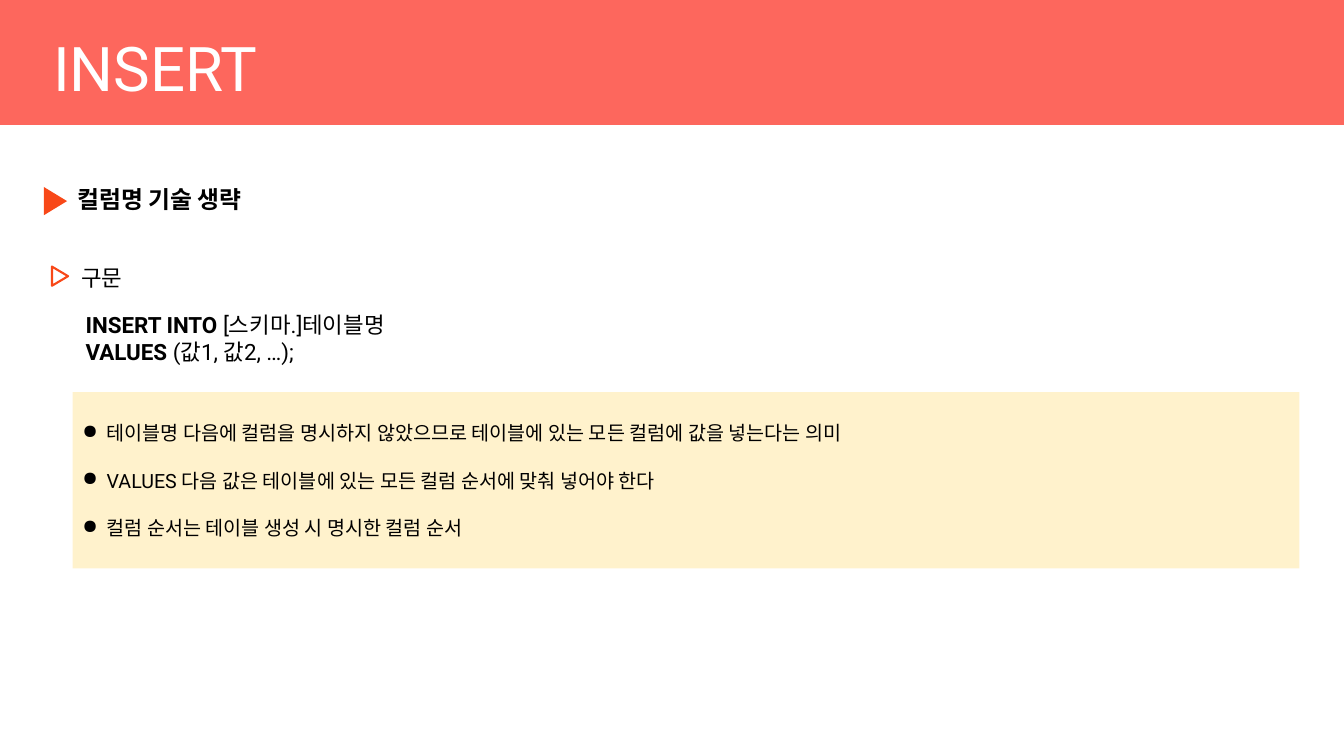
import dataclasses

import pptx
import pptx.dml.color
import pptx.enum.shapes
import pptx.enum.text
import pptx.util
from lxml import etree

Shape = pptx.enum.shapes.MSO_SHAPE
Anchor = pptx.enum.text.MSO_ANCHOR
Align = pptx.enum.text.PP_ALIGN


@dataclasses.dataclass(frozen=True)
class Theme:
    font: str = "Roboto"
    banner: str = "FD675D"
    accent: str = "F84818"
    note: str = "FFF2CC"
    ink: str = "000000"
    paper: str = "FFFFFF"
    title_size: int = 44
    heading_size: int = 17
    body_size: int = 16
    note_size: int = 14
    note_gap: int = 17
    outline: float = 1.5


def color(value):
    return pptx.dml.color.RGBColor.from_string(value)


class Deck:
    """Places elements on a grid whose columns and rows are 0.1 inch."""

    CELL = pptx.util.Inches(0.1)
    COLUMNS, ROWS = 133.33, 75

    def __init__(self, theme):
        self.theme = theme
        self.presentation = pptx.Presentation()
        self.presentation.slide_width = self.cells(self.COLUMNS)
        self.presentation.slide_height = self.cells(self.ROWS)
        self.slide = self.presentation.slides.add_slide(
            self.presentation.slide_layouts[6])

    def cells(self, count):
        return round(count * self.CELL)

    def frame(self, *columns_rows):
        return [self.cells(count) for count in columns_rows]

    def shape(self, kind, place, fill, line=None, rotation=0):
        shape = self.slide.shapes.add_shape(kind, *self.frame(*place))
        shape.shadow.inherit = False
        shape.rotation = rotation
        shape.fill.solid()
        shape.fill.fore_color.rgb = color(fill)
        if line:
            shape.line.color.rgb = color(line)
            shape.line.width = pptx.util.Pt(self.theme.outline)
        else:
            shape.line.fill.background()
        return shape

    def pointer(self, place, fill):
        self.shape(Shape.FLOWCHART_EXTRACT, place, fill,
                   line=None if fill == self.theme.accent else self.theme.accent,
                   rotation=90)

    def style(self, font, size, ink, bold=False):
        font.name = self.theme.font
        font.size = pptx.util.Pt(size)
        font.color.rgb = color(ink)
        font.bold = bold

    def text(self, place, lines, size, ink=None, anchor=Anchor.TOP):
        """Each line is a list of (wording, bold) pairs."""
        frame = self.slide.shapes.add_textbox(*self.frame(*place)).text_frame
        frame.word_wrap = True
        frame.vertical_anchor = anchor
        for index, line in enumerate(lines):
            paragraph = frame.paragraphs[0] if index == 0 else frame.add_paragraph()
            for wording, bold in line:
                run = paragraph.add_run()
                run.text = wording
                self.style(run.font, size, ink or self.theme.ink, bold)

    def bullet(self, paragraph, indent):
        properties = paragraph._p.get_or_add_pPr()
        properties.set("marL", str(self.cells(indent)))
        properties.set("indent", str(-self.cells(indent)))
        etree.SubElement(properties, pptx.oxml.ns.qn("a:buChar")).set("char", "●")

    def note(self, place, points):
        frame = self.shape(Shape.RECTANGLE, place, self.theme.note).text_frame
        frame.word_wrap = True
        frame.vertical_anchor = Anchor.MIDDLE
        frame.text = "\n".join(points)
        for index, paragraph in enumerate(frame.paragraphs):
            self.bullet(paragraph, indent=2.4)
            paragraph.alignment = Align.LEFT
            if index:
                paragraph.space_before = pptx.util.Pt(self.theme.note_gap)
            for run in paragraph.runs:
                self.style(run.font, self.theme.note_size, self.theme.ink)


def main():
    theme = Theme()
    deck = Deck(theme)

    # Title banner
    deck.shape(Shape.RECTANGLE, (0, 0, deck.COLUMNS, 12.4), theme.banner)
    deck.text((4.3, 3, 115, 7.8), [[("INSERT", False)]], theme.title_size,
              ink=theme.paper, anchor=Anchor.BOTTOM)

    # Section heading
    deck.pointer((4.1, 18.8, 2.8, 2.3), theme.accent)
    deck.text((6.7, 17.8, 50, 3.9), [[("컬럼명 기술 생략", True)]],
              theme.heading_size)

    # Syntax
    deck.pointer((5, 26.6, 1.9, 1.6), theme.paper)
    deck.text((7.1, 25.7, 92.5, 3.7), [[("구문", False)]], theme.body_size)
    deck.text((7.5, 30.4, 92.5, 6.4), [
        [("INSERT INTO ", True), ("[스키마.]테이블명", False)],
        [("VALUES ", True), ("(값1, 값2, …);", False)],
    ], theme.body_size)

    # Explanation
    deck.note((7.2, 38.9, 121.7, 17.5), [
        "테이블명 다음에 컬럼을 명시하지 않았으므로 테이블에 있는 모든 컬럼에 값을 넣는다는 의미",
        "VALUES 다음 값은 테이블에 있는 모든 컬럼 순서에 맞춰 넣어야 한다",
        "컬럼 순서는 테이블 생성 시 명시한 컬럼 순서",
    ])

    deck.presentation.save("out.pptx")


if __name__ == "__main__":
    main()
